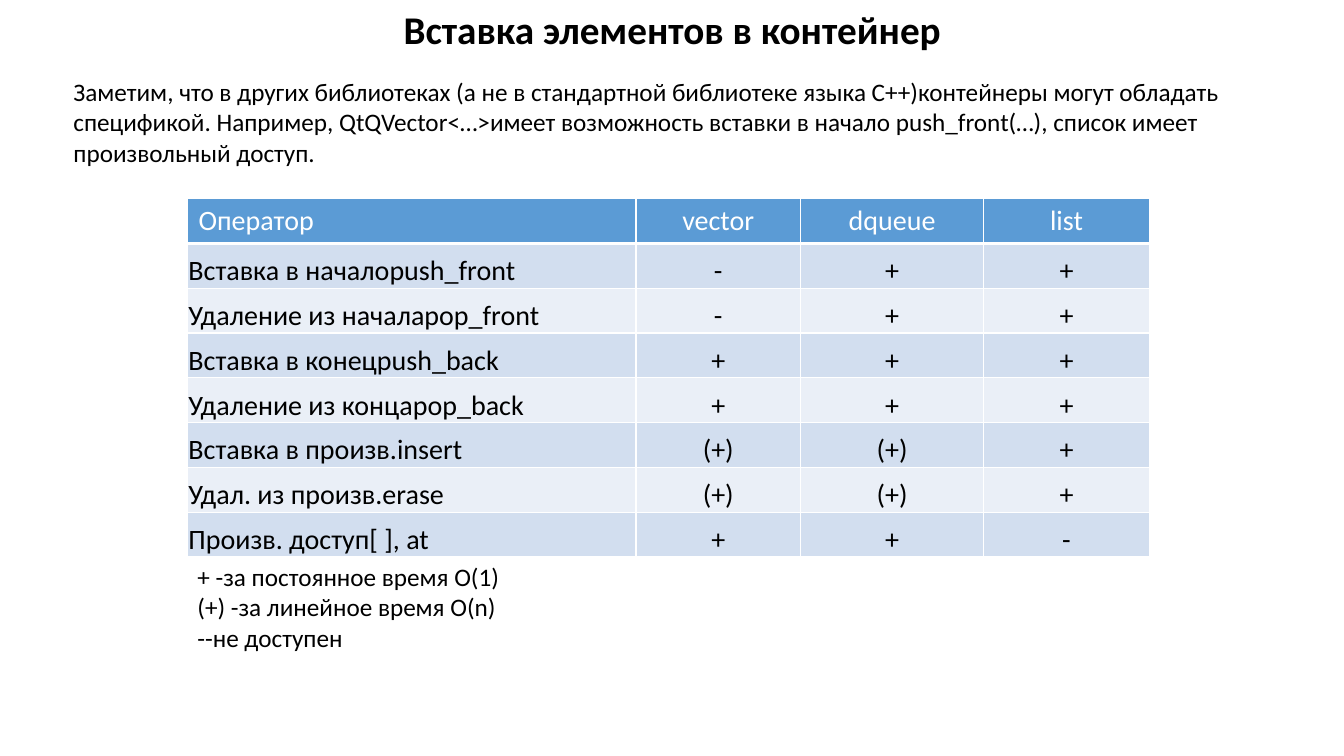
from lxml.etree import SubElement
from pptx import Presentation
from pptx.dml.color import RGBColor
from pptx.enum.text import MSO_ANCHOR as Anchor, MSO_AUTO_SIZE as AutoSize, PP_ALIGN as Align
from pptx.oxml.ns import qn
from pptx.util import Inches, Pt

BLACK = RGBColor(0x00, 0x00, 0x00)
WHITE = RGBColor(0xFF, 0xFF, 0xFF)
HEADER_BLUE = RGBColor(0x5B, 0x9B, 0xD5)
BAND_DARK = RGBColor(0xD2, 0xDE, 0xEF)
BAND_LIGHT = RGBColor(0xEA, 0xEF, 0xF7)

TITLE = "Вставка элементов в контейнер"
NOTE = (
    "Заметим, что в других библиотеках (а не в стандартной библиотеке языка C++)"
    "контейнеры могут обладать спецификой. Например, QtQVector<…>имеет возможность "
    "вставки в начало push_front(…), список имеет произвольный доступ."
)
OPERATIONS = [
    ("Оператор", "vector", "dqueue", "list"),
    ("Вставка в началоpush_front", "-", "+", "+"),
    ("Удаление из началаpop_front", "-", "+", "+"),
    ("Вставка в конецpush_back", "+", "+", "+"),
    ("Удаление из концаpop_back", "+", "+", "+"),
    ("Вставка в произв.insert", "(+)", "(+)", "+"),
    ("Удал. из произв.erase", "(+)", "(+)", "+"),
    ("Произв. доступ[ ], at", "+", "+", "-"),
]
LEGEND = "+ -за постоянное время O(1)\n(+) -за линейное время O(n)\n--не доступен"


class SlideBuilder:
    font_name = "Calibri"
    title_size, text_size, table_size = 28, 18, 20

    def __init__(self, presentation):
        self.width = presentation.slide_width
        self.height = presentation.slide_height
        self.slide = presentation.slides.add_slide(presentation.slide_layouts[5])

    def across(self, percent):
        return round(self.width * percent / 100)

    def down(self, percent):
        return round(self.height * percent / 100)

    def box(self, left, top, width, height):
        return self.across(left), self.down(top), self.across(width), self.down(height)

    def format_runs(self, text_frame, size, color=BLACK, bold=False, align=Align.LEFT):
        for paragraph in text_frame.paragraphs:
            paragraph.alignment = align
            for run in paragraph.runs:
                run.font.name = self.font_name
                run.font.size = Pt(size)
                run.font.bold = bold
                run.font.color.rgb = color

    def title(self, text, *area):
        shape = self.slide.shapes.title
        shape.left, shape.top, shape.width, shape.height = self.box(*area)
        text_frame = shape.text_frame
        text_frame.text = text
        text_frame.word_wrap = False
        text_frame.auto_size = AutoSize.NONE
        text_frame.vertical_anchor = Anchor.TOP
        self.format_runs(text_frame, self.title_size, bold=True, align=Align.CENTER)

    def text(self, text, *area):
        text_frame = self.slide.shapes.add_textbox(*self.box(*area)).text_frame
        text_frame.text = text
        text_frame.word_wrap = True
        text_frame.auto_size = AutoSize.SHAPE_TO_FIT_TEXT
        self.format_runs(text_frame, self.text_size)

    def borders(self, cell, top, bottom):
        properties = cell._tc.get_or_add_tcPr()
        for side, points in (("L", 1), ("R", 1), ("T", top), ("B", bottom)):
            line = SubElement(properties, qn(f"a:ln{side}"), w=str(Pt(points)))
            fill = SubElement(line, qn("a:solidFill"))
            SubElement(fill, qn("a:srgbClr"), val=str(WHITE))

    def cell(self, cell, text, row, column):
        header = row == 0
        self.borders(cell, 3 if row == 1 else 1, 3 if header else 1)
        cell.fill.solid()
        cell.fill.fore_color.rgb = HEADER_BLUE if header else (BAND_LIGHT, BAND_DARK)[row % 2]
        cell.vertical_anchor = Anchor.TOP if header else Anchor.BOTTOM
        cell.margin_left = cell.margin_right = Inches(0.11 if header else 0.01)
        cell.margin_top = Inches(0.05 if header else 0.01)
        cell.margin_bottom = Inches(0.05 if header else 0)
        cell.text_frame.text = text
        align = Align.CENTER if column else Align.LEFT
        self.format_runs(cell.text_frame, self.table_size, WHITE if header else BLACK, align=align)

    def table(self, rows, left, top, column_widths, row_height):
        area = self.box(left, top, sum(column_widths), row_height * len(rows))
        table = self.slide.shapes.add_table(len(rows), len(column_widths), *area).table
        for column, width in zip(table.columns, column_widths):
            column.width = self.across(width)
        for row, texts in enumerate(rows):
            table.rows[row].height = self.down(row_height)
            for column, text in enumerate(texts):
                self.cell(table.cell(row, column), text, row, column)


def main():
    presentation = Presentation()
    presentation.slide_width = Inches(13.33)
    presentation.slide_height = Inches(7.5)
    builder = SlideBuilder(presentation)
    builder.title(TITLE, 28.36, 0, 43.29, 7.6)
    builder.text(NOTE, 4.73, 9.47, 91.5, 13.47)
    builder.table(OPERATIONS, 13.95, 26.27, (33.38, 12.23, 13.65, 12.3), 5.93)
    builder.text(LEGEND, 13.95, 73.6, 37.5, 13.47)
    presentation.save("out.pptx")


if __name__ == "__main__":
    main()
